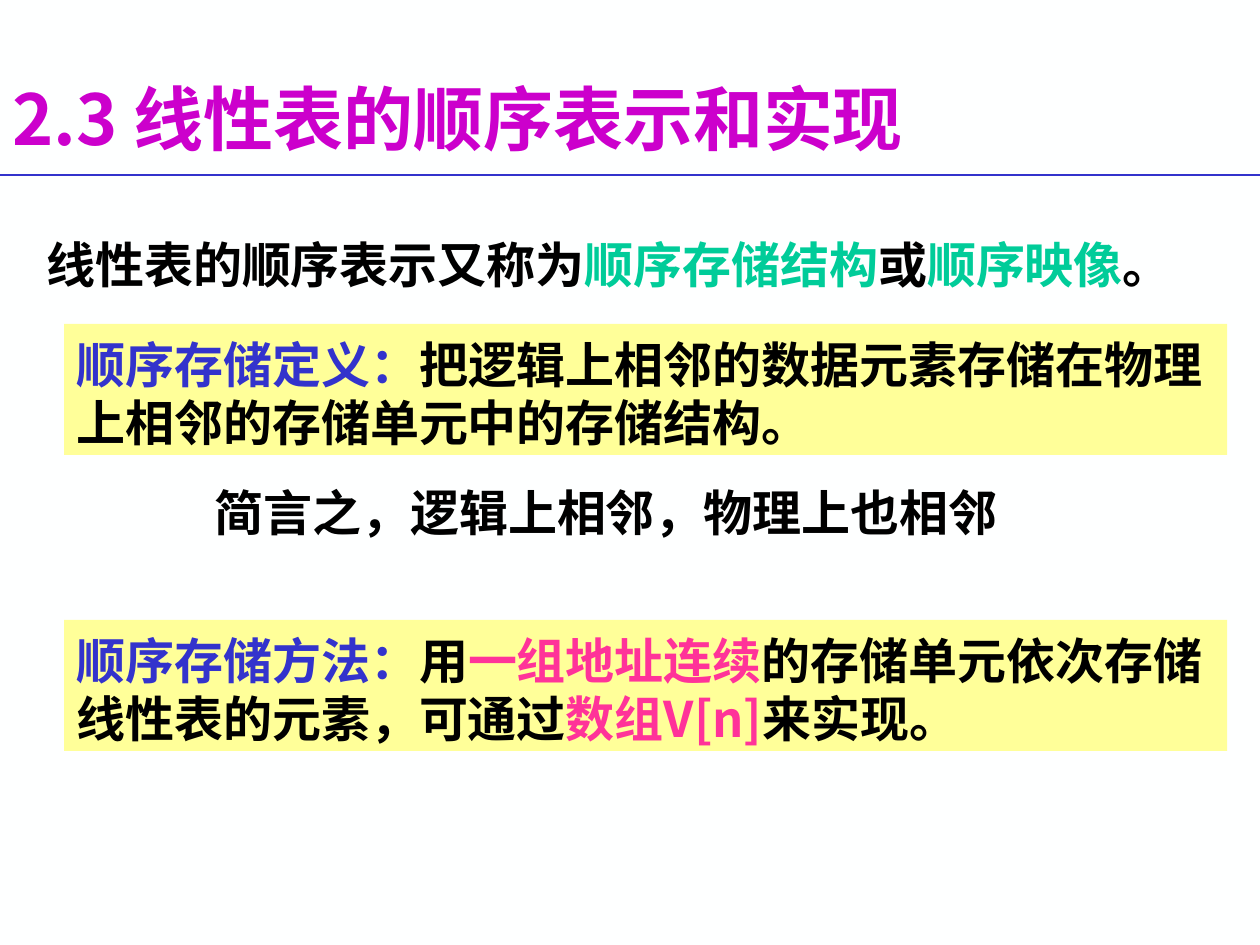
from lxml import etree
from pptx import Presentation
from pptx.dml.color import RGBColor
from pptx.enum.shapes import MSO_CONNECTOR, MSO_SHAPE
from pptx.enum.text import MSO_ANCHOR, MSO_AUTO_SIZE, PP_ALIGN
from pptx.oxml.ns import qn
from pptx.util import Pt

LEFT, CENTER = PP_ALIGN.LEFT, PP_ALIGN.CENTER
TOP, MIDDLE = MSO_ANCHOR.TOP, MSO_ANCHOR.MIDDLE
FONT = "Noto Sans CJK SC"
COLORS = {
    "back": "FEFFFF", "title": "CC00CC", "rule": "3333CC", "text": "000000",
    "term": "00CC99", "label": "3333CC", "key": "FF3399", "panel": "FFFF99",
}
SLIDE_W, SLIDE_H = 720, 540
PANEL_X, PANEL_W, PANEL_H = 36.72, 664.56, 74.88
LINE_H = 41.04
RULE_Y = 100.08

TITLE = [("2.3 线性表的顺序表示和实现", "title")]
NOTES = [
    ((19.44, 128.16, PANEL_W, LINE_H), LEFT, [
        ("线性表的顺序表示又称为", "text"), ("顺序存储结构", "term"),
        ("或", "text"), ("顺序映像", "term"), ("。", "text")]),
    ((74.88, 270, 542.88, LINE_H), CENTER, [
        ("简言之，逻辑上相邻，物理上也相邻", "text")]),
]
PANELS = [
    (185.04, [
        ("顺序存储定义：", "label"),
        ("把逻辑上相邻的数据元素存储在物理上相邻的存储单元中的存储结构。", "text")]),
    (354.24, [
        ("顺序存储方法：", "label"), ("用", "text"), ("一组地址连续", "key"),
        ("的存储单元依次存储线性表的元素，可通过", "text"),
        ("数组V[n]", "key"), ("来实现。", "text")]),
]


def rgb(name):
    return RGBColor.from_string(COLORS[name])


def write(s, runs, size, align=LEFT, anchor=TOP, top=3.6, spacing=None):
    """Fill a shape with one paragraph of (text, colour name) runs."""
    tf = s.text_frame
    frame = {
        "word_wrap": True, "auto_size": MSO_AUTO_SIZE.NONE,
        "vertical_anchor": anchor, "margin_left": Pt(7.2),
        "margin_right": Pt(7.2), "margin_top": Pt(top), "margin_bottom": Pt(3.6),
    }
    for key, value in frame.items():
        setattr(tf, key, value)
    p = tf.paragraphs[0]
    p.alignment = align
    if spacing:
        p.line_spacing = Pt(spacing)
    for text, color in runs:
        r = p.add_run()
        r.text = text
        for key, value in {"name": FONT, "size": Pt(size), "bold": True}.items():
            setattr(r.font, key, value)
        r.font.color.rgb = rgb(color)
        latin = r.font._element.find(qn("a:latin"))
        ea = etree.Element(qn("a:ea"), typeface=FONT)
        latin.addnext(ea)


def write_body(s, runs, align=LEFT):
    write(s, runs, 28, align, top=6, spacing=33.5)


def main():
    prs = Presentation()
    prs.slide_width, prs.slide_height = Pt(SLIDE_W), Pt(SLIDE_H)
    slide = prs.slides.add_slide(prs.slide_layouts[5])
    fill = slide.background.fill
    fill.solid()
    fill.fore_color.rgb = rgb("back")

    title = slide.shapes.title
    box = {"left": 0, "top": 40.32, "width": 618.48, "height": 54}
    for key, value in box.items():
        setattr(title, key, Pt(value))
    write(title, TITLE, 40, anchor=MIDDLE)

    rule = slide.shapes.add_connector(
        MSO_CONNECTOR.STRAIGHT, Pt(0), Pt(RULE_Y), Pt(SLIDE_W), Pt(RULE_Y))
    rule.line.color.rgb = rgb("rule")
    rule.line.width = Pt(1)
    etree.SubElement(rule._element.spPr, qn("a:effectLst"))

    for place, align, runs in NOTES:
        s = slide.shapes.add_textbox(*map(Pt, place))
        write_body(s, runs, align)

    for y, runs in PANELS:
        s = slide.shapes.add_shape(
            MSO_SHAPE.RECTANGLE, *map(Pt, (PANEL_X, y, PANEL_W, PANEL_H)))
        s.shadow.inherit = False
        s.fill.solid()
        s.fill.fore_color.rgb = rgb("panel")
        s.line.fill.background()
        write_body(s, runs)

    prs.save("out.pptx")


if __name__ == "__main__":
    main()
